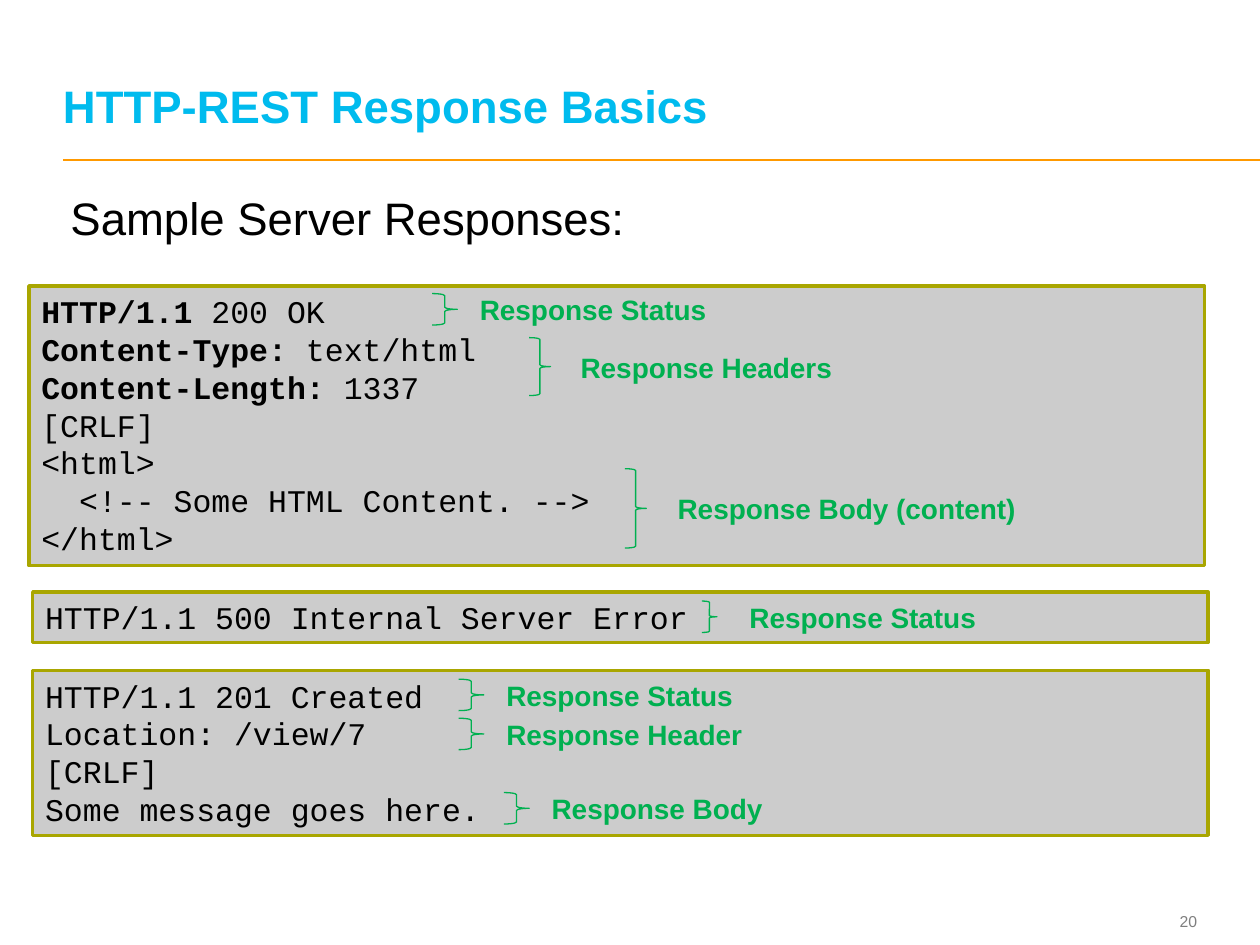
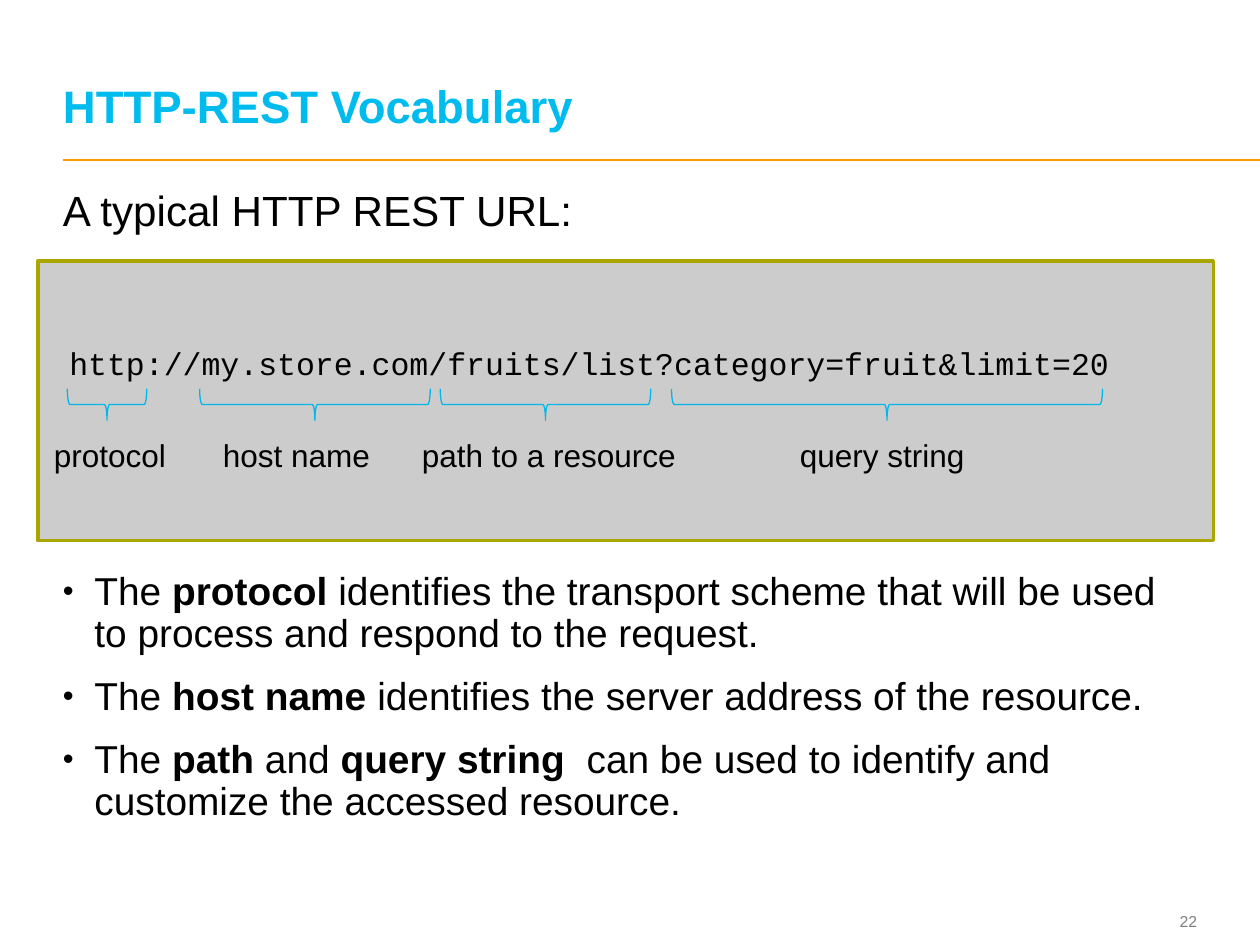
from lxml import etree
from pptx import Presentation
from pptx.dml.color import RGBColor
from pptx.enum.shapes import MSO_CONNECTOR, MSO_SHAPE
from pptx.enum.text import MSO_ANCHOR, PP_ALIGN
from pptx.oxml.ns import qn
from pptx.util import Inches, Pt

BLACK = RGBColor(0x00, 0x00, 0x00)
GRAY = RGBColor(0x7F, 0x7F, 0x7F)
PANEL = RGBColor(0xCC, 0xCC, 0xCC)
OLIVE = RGBColor(0xA9, 0xA6, 0x00)
GREEN = RGBColor(0x00, 0xB0, 0x50)
CYAN = RGBColor(0x00, 0xBB, 0xEE)
BLUE = RGBColor(0x00, 0xB7, 0xE9)
ORANGE = RGBColor(0xFF, 0x99, 0x00)
TOP, MIDDLE, BOTTOM = MSO_ANCHOR.TOP, MSO_ANCHOR.MIDDLE, MSO_ANCHOR.BOTTOM
LEFT, RIGHT = PP_ALIGN.LEFT, PP_ALIGN.RIGHT
RECT = MSO_SHAPE.RECTANGLE
LEFT_BRACE, RIGHT_BRACE = MSO_SHAPE.LEFT_BRACE, MSO_SHAPE.RIGHT_BRACE
STRAIGHT = MSO_CONNECTOR.STRAIGHT
SANS, MONO = "Arial", "Courier New"
PAD = (0.1, 0.05)
FLUSH = (0, 0)


class Deck:
    def __init__(self):
        self.prs = Presentation()
        self.prs.slide_width = Inches(10)
        self.prs.slide_height = Inches(7.5)

    def page(self, title, number):
        self.slide = self.prs.slides.add_slide(self.prs.slide_layouts[6])
        rule = self.slide.shapes.add_connector(
            STRAIGHT, Inches(0.5), Inches(1.27), Inches(10), Inches(1.27))
        rule.line.color.rgb = ORANGE
        rule.line.width = Pt(1)
        etree.SubElement(rule._element.spPr, qn("a:effectLst"))
        head = self.text(0.5, 0.19, 8.97, 0.86, [title], 26, CYAN, True, FLUSH, BOTTOM)
        head.paragraphs[0].line_spacing = Pt(26)
        foot = self.text(8.91, 7.18, 0.59, 0.27, [number], 9, GRAY, False, FLUSH, MIDDLE)
        foot.paragraphs[0].alignment = RIGHT

    def fill_text(self, shape, lines, size, color, font=SANS, bold=False, pad=PAD, anchor=TOP):
        frame = shape.text_frame
        frame.word_wrap = True
        frame.vertical_anchor = anchor
        frame.margin_left = frame.margin_right = Inches(pad[0])
        frame.margin_top = frame.margin_bottom = Inches(pad[1])
        for i, line in enumerate(lines):
            par = frame.add_paragraph() if i else frame.paragraphs[0]
            par.alignment = LEFT
            for j, part in enumerate(line.split("**")):
                if part:
                    run = par.add_run()
                    run.text = part
                    run.font.name = font
                    run.font.size = Pt(size)
                    run.font.color.rgb = color
                    run.font.bold = bold or j % 2 == 1
        return frame

    def text(self, x, y, w, h, lines, size, color=BLACK, bold=False, pad=PAD, anchor=TOP):
        box = self.slide.shapes.add_textbox(Inches(x), Inches(y), Inches(w), Inches(h))
        return self.fill_text(box, lines, size, color, SANS, bold, pad, anchor)

    def shape(self, kind, x, y, w, h, color, width):
        item = self.slide.shapes.add_shape(kind, Inches(x), Inches(y), Inches(w), Inches(h))
        item.shadow.inherit = False
        item.line.color.rgb = color
        item.line.width = Pt(width)
        item.fill.background()
        return item

    def code(self, x, y, h, lines, pad=PAD):
        box = self.shape(RECT, x, y, 9.33, h, OLIVE, 2)
        box.fill.solid()
        box.fill.fore_color.rgb = PANEL
        self.fill_text(box, lines, 18, BLACK, MONO, pad=pad)

    def note(self, x, y, w, h, gap, label):
        self.shape(RIGHT_BRACE, x, y, w, h, GREEN, 0.75)
        self.text(x + w + gap, y + h / 2 - 0.18, 3.9, 0.37, [label], 16, GREEN, True)

    def term(self, mid, span, x, w, label):
        deep = 0.25
        brace = self.shape(LEFT_BRACE, mid - deep / 2, 3.21 - span / 2, deep, span, BLUE, 0.75)
        brace.rotation = 270
        self.text(x, 3.41, w, 0.4, [label], 18)

    def bullets(self, x, y, w, h, lines, size):
        frame = self.text(x, y, w, h, lines, size, pad=FLUSH)
        for i, par in enumerate(frame.paragraphs):
            props = par._p.get_or_add_pPr()
            props.set("marL", str(Inches(0.25)))
            props.set("indent", str(-Inches(0.25)))
            etree.SubElement(props, qn("a:buSzPct"), val="80000")
            etree.SubElement(props, qn("a:buFont"), typeface=SANS)
            etree.SubElement(props, qn("a:buChar"), char="•")
            par.line_spacing = 0.9
            if i:
                par.space_before = Pt(12)


def responses(deck):
    deck.page("HTTP-REST Response Basics", "20")
    deck.text(0.56, 1.51, 8.94, 0.5, ["Sample Server Responses:"], 26, pad=FLUSH)
    deck.code(0.23, 2.27, 2.22, [
        "**HTTP/1.1** 200 OK",
        "**Content-Type:** text/html",
        "**Content-Length:** 1337",
        "[CRLF]",
        "<html>",
        "  <!-- Some HTML Content. -->",
        "</html>",
    ])
    deck.code(0.26, 4.7, 0.4, ["HTTP/1.1 500 Internal Server Error"])
    deck.code(0.26, 5.32, 1.31, [
        "HTTP/1.1 201 Created",
        "Location: /view/7",
        "[CRLF]",
        "Some message goes here.",
    ])
    for mark in (
        (3.43, 2.33, 0.2, 0.25, 0.08, "Response Status"),
        (4.2, 2.68, 0.17, 0.46, 0.14, "Response Headers"),
        (4.96, 3.72, 0.17, 0.63, 0.15, "Response Body (content)"),
        (5.57, 4.77, 0.12, 0.25, 0.16, "Response Status"),
        (3.64, 5.39, 0.2, 0.25, 0.08, "Response Status"),
        (3.64, 5.7, 0.2, 0.25, 0.08, "Response Header"),
        (4, 6.29, 0.2, 0.25, 0.08, "Response Body"),
    ):
        deck.note(*mark)


def terms(deck):
    deck.page("HTTP-REST Vocabulary", "22")
    intro = deck.text(0.5, 1.51, 9, 0.45, ["A typical HTTP REST URL:"], 24.1, pad=FLUSH)
    intro.paragraphs[0].line_spacing = 0.9
    url = "http://my.store.com/fruits/list?category=fruit&limit=20"
    deck.code(0.3, 2.07, 2.22, [url], (0.25, 0.66))
    for mark in (
        (0.85, 0.63, 0.33, 1.13, "protocol"),
        (2.5, 1.83, 1.67, 1.42, "host name"),
        (4.33, 1.67, 3.25, 2.27, "path to a resource"),
        (7.04, 3.42, 6.25, 1.58, "query string"),
    ):
        deck.term(*mark)
    deck.bullets(0.5, 4.54, 9, 2.25, [
        "The **protocol** identifies the transport scheme that will be used"
        " to process and respond to the request.",
        "The **host name** identifies the server address of the resource.",
        "The **path** and **query string ** can be used to identify and"
        " customize the accessed resource.",
    ], 22.2)


def main():
    deck = Deck()
    responses(deck)
    terms(deck)
    deck.prs.save("out.pptx")


if __name__ == "__main__":
    main()
